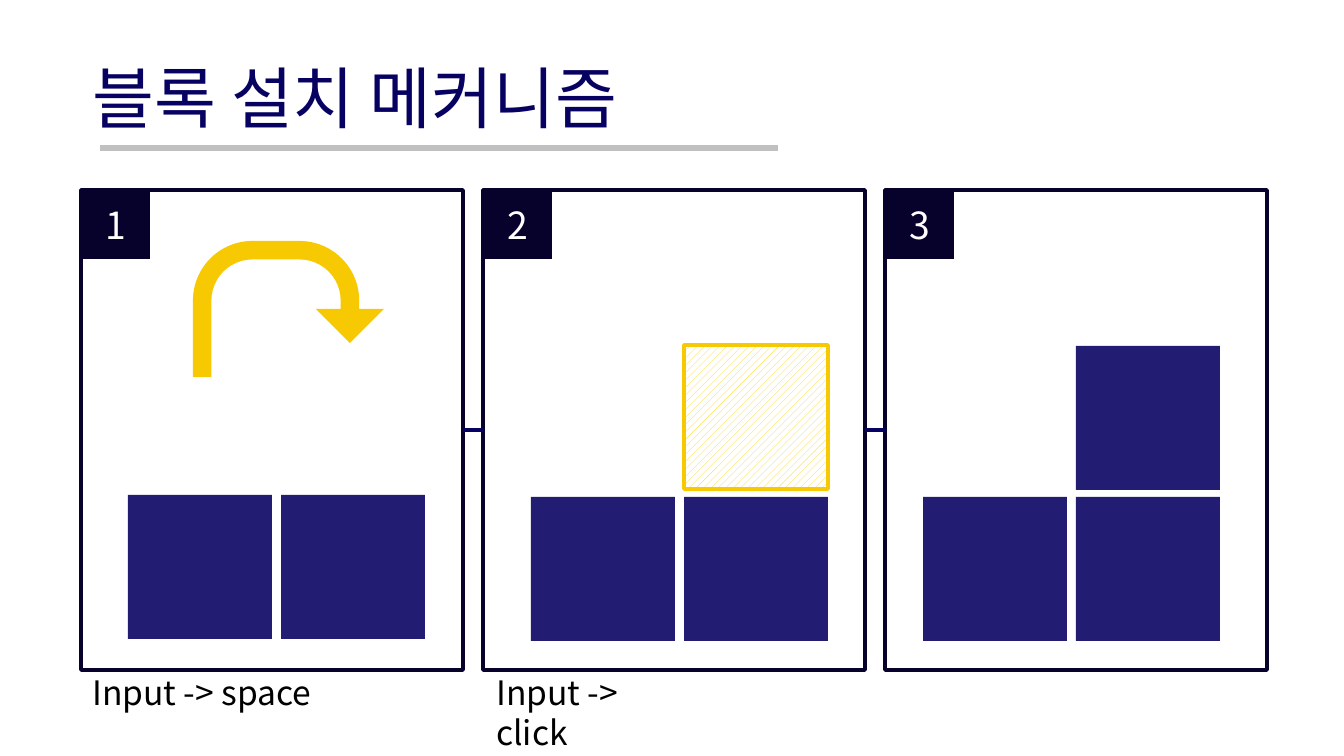
"""Build the block placement mechanism slide."""
from lxml import etree
from pptx import Presentation
from pptx import util as u
from pptx.dml import color
from pptx.enum import dml, shapes, text
from pptx.oxml import ns

SCALE = 914400 / 134.4
FONT = "Noto Sans CJK KR"
COLORS = {
    "navy": "070262",
    "dark": "07022C",
    "yellow": "F7C903",
    "hatch": "FAD82E",
    "grey": "C0C0C0",
    "white": "FFFFFF",
    "black": "000000",
}
PANEL_LEFT, PANEL_TOP, PANEL_STEP = 81, 190, 402
PANEL_WIDTH, PANEL_HEIGHT = 382, 480
TAG_SIZE = 69
BLOCK_SIZE, BLOCK_STEP = 144, 153


def px(length):
    """Turn px into EMU."""
    return u.Emu(round(length * SCALE))


def box(*lengths):
    """Turn a list of px into EMU."""
    return [px(length) for length in lengths]


def rgb(name):
    """Look up a colour by name."""
    return color.RGBColor.from_string(COLORS[name])


def apply_format(target, values):
    """Set each attribute of the target from a dict."""
    for name, value in values.items():
        setattr(target, name, value)


def set_line(line, name, width):
    """Give a line its colour and width in points."""
    line.color.rgb = rgb(name)
    line.width = u.Pt(width)


def write_text(shape, words, size, name, align=text.PP_ALIGN.LEFT,
               anchor=text.MSO_ANCHOR.TOP):
    """Write one formatted paragraph into a shape."""
    frame = shape.text_frame
    apply_format(frame, {"word_wrap": True, "vertical_anchor": anchor,
                         "auto_size": text.MSO_AUTO_SIZE.NONE})
    paragraph = frame.paragraphs[0]
    paragraph.alignment = align
    run = paragraph.add_run()
    run.text = words
    apply_format(run.font, {"size": u.Pt(size), "name": FONT})
    run.font.color.rgb = rgb(name)
    properties = run._r.get_or_add_rPr()
    etree.SubElement(properties, ns.qn("a:ea"), typeface=FONT)


def add_title(slide, words):
    """Place the title in its placeholder."""
    title = slide.shapes.title
    left, top, width, height = box(79, 50, 586, 95)
    apply_format(title, {"left": left, "top": top,
                         "width": width, "height": height})
    write_text(title, words, 36, "navy")


def add_label(slide, words, left, width):
    """Add an input label under a panel."""
    label = slide.shapes.add_textbox(*box(left, 665, width, 54))
    write_text(label, words, 18, "black")


def add_connector(slide, start, end, y, name, width):
    """Add a horizontal line."""
    connector = slide.shapes.add_connector(
        shapes.MSO_CONNECTOR.STRAIGHT, *box(start, y, end, y))
    set_line(connector.line, name, width)
    etree.SubElement(connector._element.spPr, ns.qn("a:effectLst"))


def add_shape(slide, kind, bounds, fill=None):
    """Add a preset shape without line or shadow."""
    shape = slide.shapes.add_shape(kind, *box(*bounds))
    shape.shadow.inherit = False
    shape.line.fill.background()
    if fill:
        shape.fill.solid()
        shape.fill.fore_color.rgb = rgb(fill)
    else:
        shape.fill.background()
    return shape


def add_block(slide, left, top):
    """Add a slightly transparent placed block."""
    block = add_shape(slide, shapes.MSO_SHAPE.RECTANGLE,
                      (left, top, BLOCK_SIZE, BLOCK_SIZE), "navy")
    fill_color = block._element.spPr.find(".//" + ns.qn("a:srgbClr"))
    etree.SubElement(fill_color, ns.qn("a:alpha"), val="89000")


def add_preview(slide, left, top):
    """Add the hatched preview of a block."""
    preview = add_shape(slide, shapes.MSO_SHAPE.RECTANGLE,
                        (left, top, BLOCK_SIZE, BLOCK_SIZE))
    preview.fill.patterned()
    preview.fill.pattern = dml.MSO_PATTERN.WIDE_UPWARD_DIAGONAL
    preview.fill.fore_color.rgb = rgb("hatch")
    preview.fill.back_color.rgb = rgb("white")
    set_line(preview.line, "yellow", 2)


def add_turn_arrow(slide):
    """Add the arrow that turns toward the new position."""
    arrow = add_shape(slide, shapes.MSO_SHAPE.U_TURN_ARROW,
                      (193, 241, 191, 136), "yellow")
    for index, value in enumerate((0.136, 0.25, 0.25, 0.438, 0.75)):
        arrow.adjustments[index] = value


def add_panel(slide, number, left):
    """Add a panel frame with its number tag."""
    frame = add_shape(slide, shapes.MSO_SHAPE.RECTANGLE,
                      (left, PANEL_TOP, PANEL_WIDTH, PANEL_HEIGHT))
    set_line(frame.line, "dark", 2)
    tag = add_shape(slide, shapes.MSO_SHAPE.RECTANGLE,
                    (left, PANEL_TOP, TAG_SIZE, TAG_SIZE), "dark")
    write_text(tag, str(number), 20, "white",
               text.PP_ALIGN.CENTER, text.MSO_ANCHOR.MIDDLE)


def main():
    """Build and save the slide."""
    presentation = Presentation()
    apply_format(presentation, {"slide_width": px(1344), "slide_height": px(756)})
    slide = presentation.slides.add_slide(presentation.slide_layouts[5])
    add_title(slide, "블록 설치 메커니즘")
    add_connector(slide, 100, 778, 148, "grey", 3)

    for left, top in ((128, 495), (531, 497), (923, 497)):
        for column in range(2):
            add_block(slide, left + column * BLOCK_STEP, top)
    add_turn_arrow(slide)
    add_preview(slide, 531 + BLOCK_STEP, 345)
    add_block(slide, 923 + BLOCK_STEP, 346)

    lefts = [PANEL_LEFT + index * PANEL_STEP for index in range(3)]
    for number, left in enumerate(lefts, start=1):
        add_panel(slide, number, left)
    for left in lefts[1:]:
        add_connector(slide, left - PANEL_STEP + PANEL_WIDTH, left, 430, "navy", 2.25)

    add_label(slide, "Input -> space", 79, 249)
    add_label(slide, "Input -> click", 483, 216)
    presentation.save("out.pptx")


if __name__ == "__main__":
    main()
